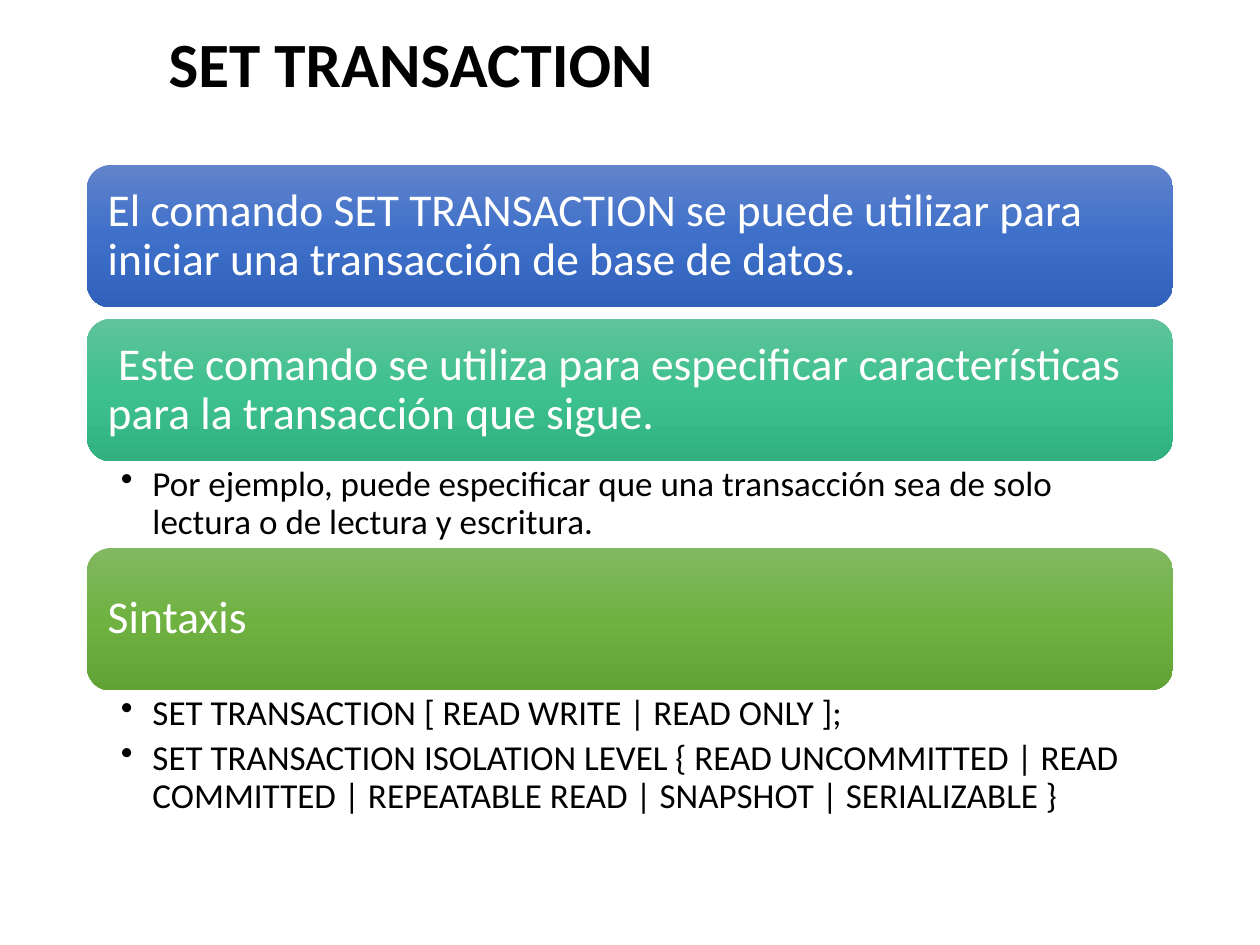
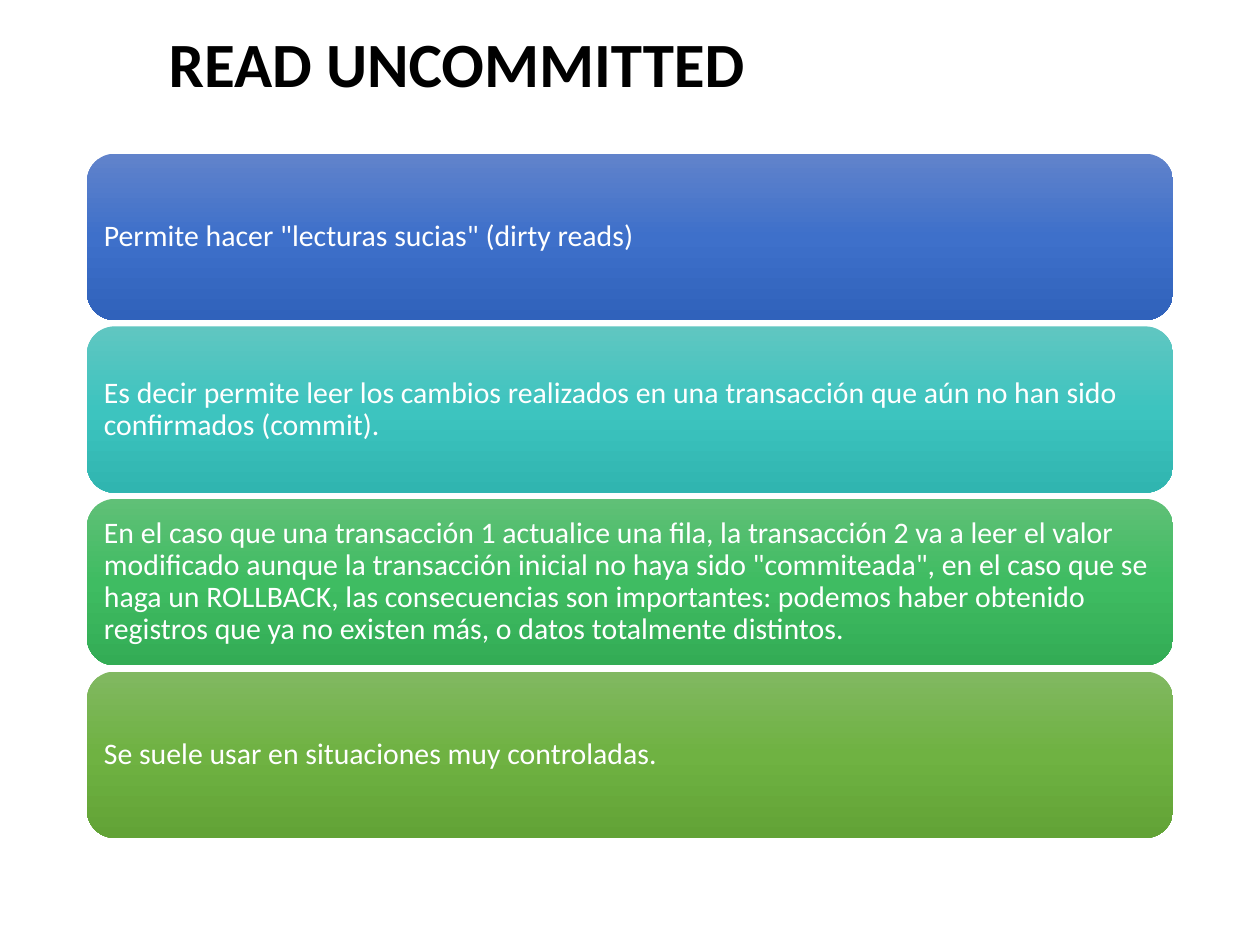
from copy import deepcopy

from pptx import Presentation
from pptx.dml.color import RGBColor
from pptx.enum.shapes import MSO_SHAPE
from pptx.enum.text import MSO_ANCHOR, PP_ALIGN
from pptx.oxml.ns import qn
from pptx.util import Inches, Pt
from lxml import etree

BLACK = RGBColor(0x00, 0x00, 0x00)
WHITE = RGBColor(0xFF, 0xFF, 0xFF)
BLUE = [RGBColor(0x61, 0x83, 0xCB), RGBColor(0x3E, 0x70, 0xCA), RGBColor(0x30, 0x62, 0xBB)]
TEAL = [RGBColor(0x60, 0xC6, 0xC1), RGBColor(0x3D, 0xC4, 0xBF), RGBColor(0x30, 0xB5, 0xB0)]
MINT = [RGBColor(0x60, 0xC3, 0x9A), RGBColor(0x3D, 0xC1, 0x8F), RGBColor(0x31, 0xB0, 0x80)]
GREEN = [RGBColor(0x60, 0xC0, 0x77), RGBColor(0x3F, 0xBC, 0x62), RGBColor(0x33, 0xAC, 0x55)]
LIME = [RGBColor(0x81, 0xB8, 0x61), RGBColor(0x6F, 0xB2, 0x42), RGBColor(0x62, 0xA3, 0x36)]


class PanelDeck:
    """Builds titled slides of gradient panels stacked from top to bottom."""

    font = "Calibri"
    left, width = 0.69, 8.62

    def __init__(self):
        self.deck = Presentation()
        self.deck.slide_width = Inches(10)
        self.deck.slide_height = Inches(7.5)

    def start_page(self, title, top, panel_height, gap, size, inset):
        self.page = self.deck.slides.add_slide(self.deck.slide_layouts[6])
        self.cursor, self.gap = top, gap
        self.panel_height, self.size, self.inset = panel_height, size, inset
        box = self.page.shapes.add_textbox(Inches(1.24), Inches(0.23), Inches(7.8), Inches(0.61))
        self.set_text(box, [title], 36, BLACK, (0.1, 0.05, 0.1, 0.05), MSO_ANCHOR.MIDDLE, bold=True)

    def set_text(self, box, lines, size, color, insets, anchor, bold=False):
        frame = box.text_frame
        left, top, right, bottom = map(Inches, insets)
        frame_format = {
            "word_wrap": True, "vertical_anchor": anchor, "margin_left": left,
            "margin_top": top, "margin_right": right, "margin_bottom": bottom,
        }
        for name, value in frame_format.items():
            setattr(frame, name, value)
        for number, line in enumerate(lines):
            para = frame.add_paragraph() if number else frame.paragraphs[0]
            para.alignment, para.line_spacing = PP_ALIGN.LEFT, 0.9
            span = para.add_run()
            span.text = line
            for name, value in {"name": self.font, "size": Pt(size), "bold": bold}.items():
                setattr(span.font, name, value)
            span.font.color.rgb = color
        return frame.paragraphs

    def panel(self, text, shades):
        shape = self.page.shapes.add_shape(
            MSO_SHAPE.ROUNDED_RECTANGLE, Inches(self.left), Inches(self.cursor),
            Inches(self.width), Inches(self.panel_height))
        shape.shadow.inherit = False
        shape.line.fill.background()
        shape.fill.gradient()
        shape.fill.gradient_angle = 270
        stops = shape.element.spPr.find(".//" + qn("a:gsLst"))
        stops.insert(1, deepcopy(stops[0]))
        for stop, shade, position in zip(shape.fill.gradient_stops, shades, (0, 0.5, 1)):
            stop.color.rgb, stop.position = shade, position
        self.set_text(shape, [text], self.size, WHITE, [self.inset] * 4, MSO_ANCHOR.MIDDLE)
        self.cursor += self.panel_height + self.gap

    def details(self, lines, height):
        top = self.cursor - self.gap
        box = self.page.shapes.add_textbox(
            Inches(self.left), Inches(top), Inches(self.width), Inches(height))
        paras = self.set_text(box, lines, 20, BLACK, (0.27, 0.04, 0.2, 0.04), MSO_ANCHOR.TOP)
        for para in paras:
            para.space_after = Pt(4)
            properties = para._p.get_or_add_pPr()
            properties.set("marL", str(Inches(0.25)))
            properties.set("indent", str(Inches(-0.25)))
            etree.SubElement(properties, qn("a:buChar")).set("char", "•")
        self.cursor = top + height


def main():
    builder = PanelDeck()

    builder.start_page("SET TRANSACTION", top=1.31, panel_height=1.13, gap=0.09, size=26, inset=0.11)
    builder.panel("El comando SET TRANSACTION se puede utilizar para iniciar una transacción "
                  "de base de datos.", BLUE)
    builder.panel(" Este comando se utiliza para especificar características para la "
                  "transacción que sigue.", MINT)
    builder.details(["Por ejemplo, puede especificar que una transacción sea de solo lectura "
                     "o de lectura y escritura."], 0.69)
    builder.panel("Sintaxis", LIME)
    builder.details(["SET TRANSACTION [ READ WRITE | READ ONLY ];",
                     "SET TRANSACTION ISOLATION LEVEL { READ UNCOMMITTED | READ COMMITTED | "
                     "REPEATABLE READ | SNAPSHOT | SERIALIZABLE }"], 1.06)

    builder.start_page("READ UNCOMMITTED", top=1.22, panel_height=1.32, gap=0.05, size=17, inset=0.07)
    panels = [
        ('Permite hacer "lecturas sucias" (dirty reads)', BLUE),
        ("Es decir permite leer los cambios realizados en una transacción que aún no han "
         "sido confirmados (commit).", TEAL),
        ("En el caso que una transacción 1 actualice una fila, la transacción 2 va a leer el "
         'valor modificado aunque la transacción inicial no haya sido "commiteada", en el caso '
         "que se haga un ROLLBACK, las consecuencias son importantes: podemos haber obtenido "
         "registros que ya no existen más, o datos totalmente distintos.", GREEN),
        ("Se suele usar en situaciones muy controladas.", LIME),
    ]
    for text, shades in panels:
        builder.panel(text, shades)

    builder.deck.save("out.pptx")


if __name__ == "__main__":
    main()
